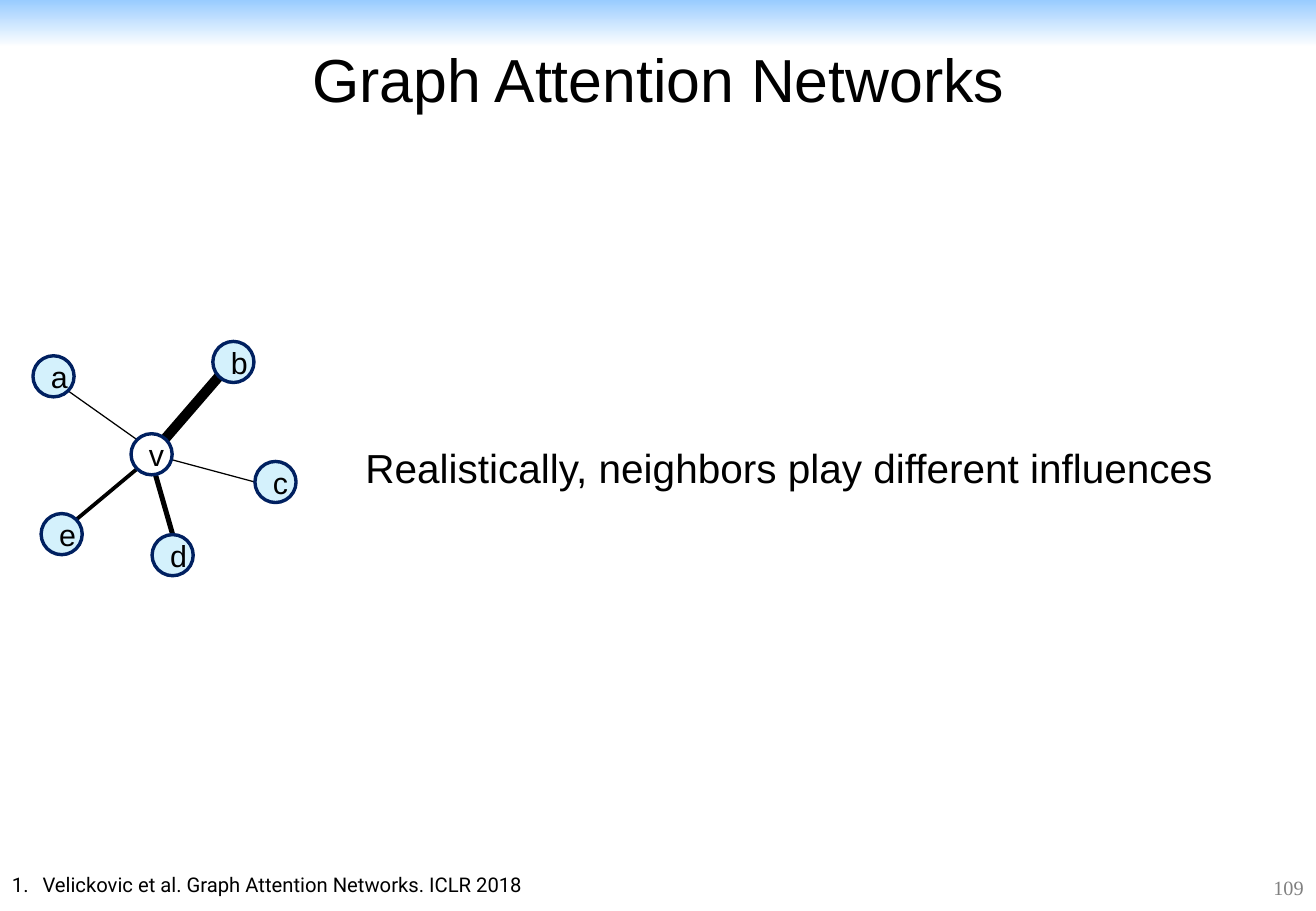
from lxml import etree
from pptx import Presentation
from pptx.dml.color import RGBColor
from pptx.enum.shapes import MSO_CONNECTOR, MSO_SHAPE
from pptx.enum.text import MSO_ANCHOR, PP_ALIGN
from pptx.oxml.ns import qn
from pptx.util import Cm, Pt

STRAIGHT = MSO_CONNECTOR.STRAIGHT
RECTANGLE, OVAL = MSO_SHAPE.RECTANGLE, MSO_SHAPE.OVAL
MIDDLE, TOP = MSO_ANCHOR.MIDDLE, MSO_ANCHOR.TOP
CENTER = PP_ALIGN.CENTER

BLACK = RGBColor(0x00, 0x00, 0x00)
WHITE = RGBColor(0xFF, 0xFF, 0xFF)
GRAY = RGBColor(0x80, 0x80, 0x80)
SKY = RGBColor(0x99, 0xCC, 0xFF)
CYAN = RGBColor(0x00, 0xB0, 0xF0)
NAVY = RGBColor(0x00, 0x20, 0x60)

WIDTH, HEIGHT = 27.51, 19.05
TITLE = {"name": "Arial", "size": Pt(36), "color": BLACK}
BODY = {"name": "Arial", "size": Pt(24), "color": BLACK}
LABEL = {"name": "Arial", "size": Pt(18), "color": BLACK}
REFERENCE = {"name": "Roboto", "size": Pt(12), "color": BLACK}
NUMBER = {"name": "Times New Roman", "size": Pt(12), "color": GRAY}

DIAMETER = 0.86
NODES = {  # left, top in cm
    "a": (0.69, 7.44),
    "e": (0.86, 10.74),
    "v": (2.74, 9.07),
    "b": (4.45, 7.14),
    "d": (3.18, 11.18),
    "c": (5.33, 9.65),
}
DIAGONAL = 0.71
# neighbor, offset on v, offset on neighbor (both in radii), line width in pt
EDGES = [
    ("a", (-DIAGONAL, -DIAGONAL), (DIAGONAL, DIAGONAL), 0.75),
    ("e", (-DIAGONAL, DIAGONAL), (DIAGONAL, -DIAGONAL), 2.25),
    ("b", (0, 0), (-DIAGONAL, DIAGONAL), 6),
    ("d", (-0.1, 0), (0, -1), 3),
    ("c", (0, 0), (-1, 0), 0.75),
]


def set_text(tf, text, style):
    tf.text = text
    p = tf.paragraphs[0]
    font = p.runs[0].font
    for key, value in style.items():
        if key == "color":
            font.color.rgb = value
        else:
            setattr(font, key, value)
    return p


def add_title(slide, text):
    sp = slide.shapes.title
    sp.left, sp.top, sp.width, sp.height = Cm(0.76), Cm(0.53), Cm(26.01), Cm(2.21)
    sp.text_frame.vertical_anchor = MIDDLE
    set_text(sp.text_frame, text, TITLE).alignment = CENTER


def add_text(slide, box, text, style, wrap=False, anchor=TOP):
    tf = slide.shapes.add_textbox(*map(Cm, box)).text_frame
    tf.word_wrap = wrap
    tf.vertical_anchor = anchor
    return set_text(tf, text, style)


def number_paragraph(p):
    pPr = p._p.get_or_add_pPr()
    pPr.set("marL", str(Cm(0.64)))
    pPr.set("indent", str(-Cm(0.64)))
    etree.SubElement(pPr, qn("a:buFont")).set("typeface", "+mj-lt")
    etree.SubElement(pPr, qn("a:buAutoNum")).set("type", "arabicPeriod")


def add_band(slide):
    sp = slide.shapes.add_shape(RECTANGLE, 0, 0, Cm(WIDTH), Cm(0.99))
    sp.shadow.inherit = False
    sp.line.fill.background()
    sp.fill.gradient()
    sp.fill.gradient_angle = 270
    for stop, color in zip(sp.fill.gradient_stops, (SKY, WHITE)):
        stop.color.rgb = color


def node_point(name, offset):
    """Point at an offset, in radii, from the centre of a node."""
    return [Cm(start + DIAMETER / 2 * (1 + part))
            for start, part in zip(NODES[name], offset)]


def add_edge(shapes, neighbor, from_v, to_neighbor, width):
    line = shapes.add_connector(
        STRAIGHT, *node_point("v", from_v), *node_point(neighbor, to_neighbor))
    line.line.color.rgb = BLACK
    line.line.width = Pt(width)
    etree.SubElement(line._element.spPr, qn("a:effectLst"))


def add_node(shapes, name):
    left, top = NODES[name]
    sp = shapes.add_shape(OVAL, Cm(left), Cm(top), Cm(DIAMETER), Cm(DIAMETER))
    sp.shadow.inherit = False
    sp.line.color.rgb = NAVY
    sp.line.width = Pt(2)
    sp.fill.solid()
    sp.fill.fore_color.rgb = WHITE if name == "v" else CYAN
    if name != "v":
        color = sp._element.spPr.find(qn("a:solidFill"))[0]
        etree.SubElement(color, qn("a:alpha")).set("val", "17000")
    sp.text_frame.vertical_anchor = MIDDLE
    set_text(sp.text_frame, name, LABEL).alignment = CENTER


def add_graph(slide):
    shapes = slide.shapes.add_group_shape().shapes
    for edge in EDGES:
        add_edge(shapes, *edge)
    for name in NODES:
        add_node(shapes, name)


def main():
    prs = Presentation()
    prs.slide_width, prs.slide_height = Cm(WIDTH), Cm(HEIGHT)
    slide = prs.slides.add_slide(prs.slide_layouts[5])
    add_band(slide)
    add_title(slide, "Graph Attention Networks")
    add_graph(slide)
    add_text(slide, (7.39, 9.14, 18.42, 1.27),
             "Realistically, neighbors play different influences", BODY)
    p = add_text(slide, (0, 18.11, 19.79, 0.76),
                 "Velickovic et al. Graph Attention Networks. ICLR 2018",
                 REFERENCE, wrap=True)
    number_paragraph(p)
    add_text(slide, (26.37, 17.93, 1.14, 1.27), "109", NUMBER, anchor=MIDDLE)
    prs.save("out.pptx")


if __name__ == "__main__":
    main()
